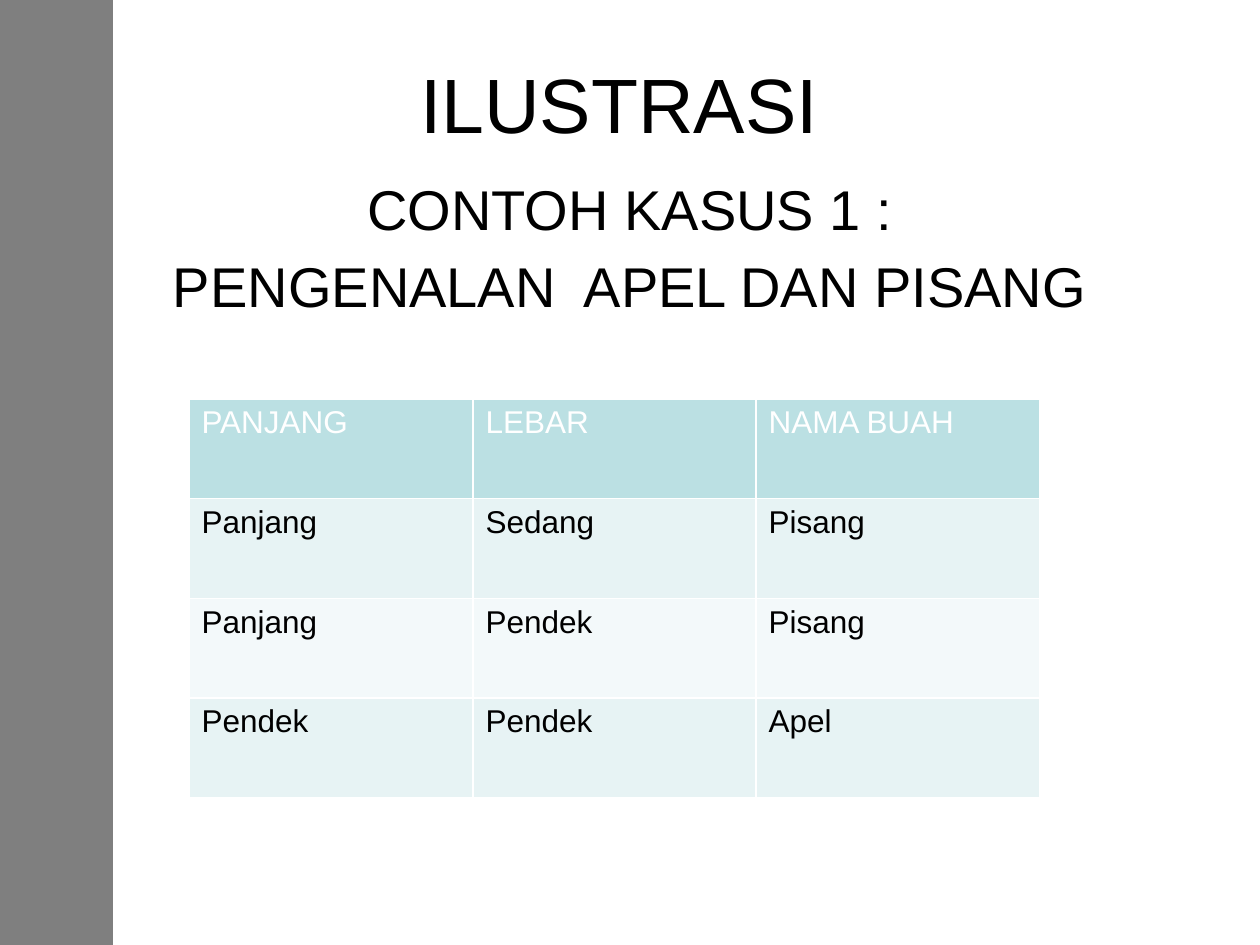
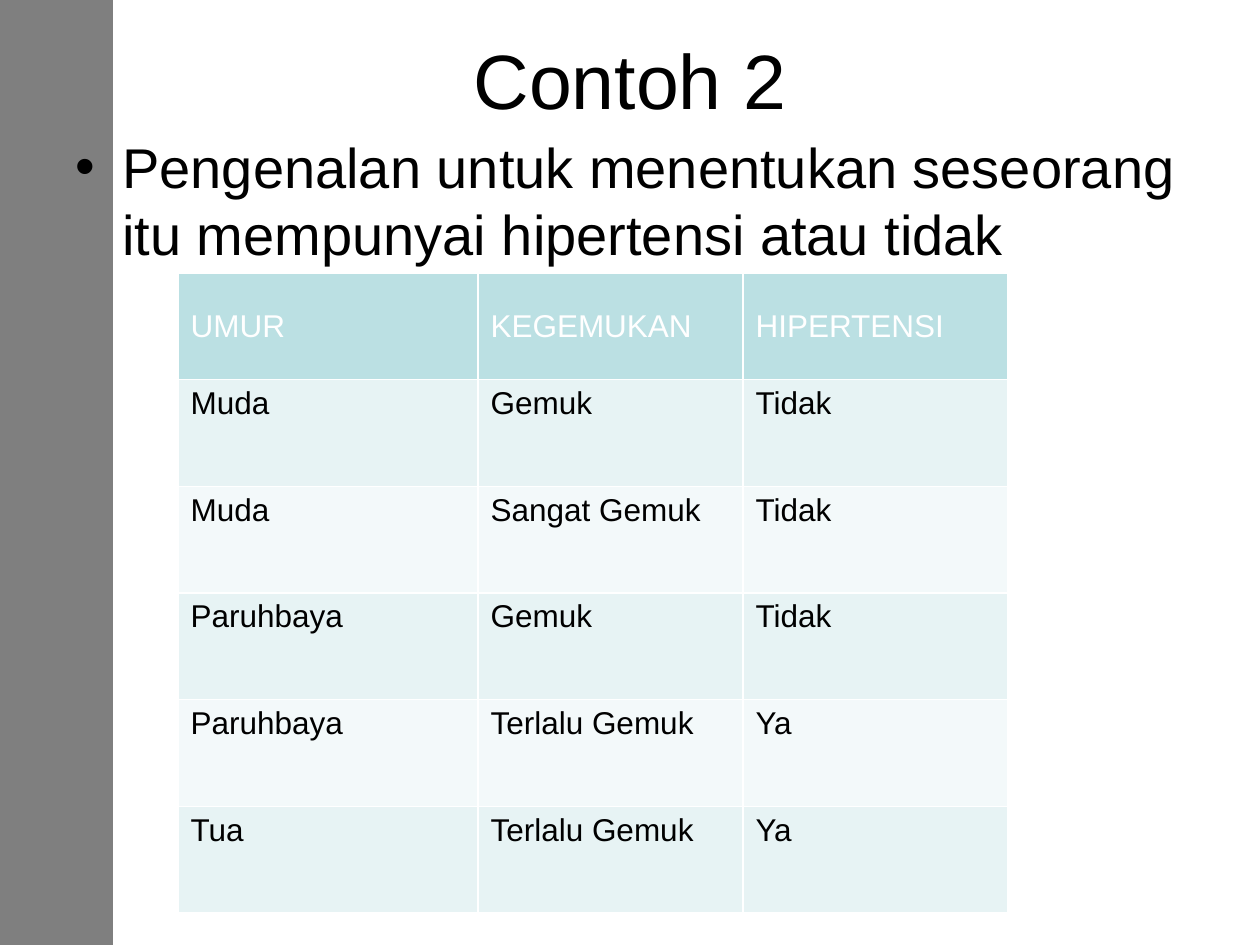
from pptx import Presentation
from pptx.dml.color import RGBColor
from pptx.enum.shapes import MSO_SHAPE
from pptx.enum.text import MSO_ANCHOR, PP_ALIGN
from pptx.oxml.ns import qn
from pptx.util import Pt
from lxml.etree import SubElement

SLIDE_W, SLIDE_H = 1260, 945


def emu(px):
    return round(px * 914400 / 126)


def color(value):
    return RGBColor.from_string(value)


def write(frame, *lines, size, ink="000000", align=PP_ALIGN.LEFT, anchor=MSO_ANCHOR.TOP,
          before=0, bullet=None, indent=0):
    frame.word_wrap = True
    frame.vertical_anchor = anchor
    for number, line in enumerate(lines):
        paragraph = frame.add_paragraph() if number else frame.paragraphs[0]
        if bullet:
            props = paragraph._p.get_or_add_pPr()
            props.set("marL", str(emu(indent)))
            props.set("indent", str(-emu(indent)))
            SubElement(props, qn("a:buFont"), typeface=Deck.FONT)
            SubElement(props, qn("a:buChar"), char=bullet)
        paragraph.alignment = align
        if number and before:
            paragraph.space_before = Pt(before)
        run = paragraph.add_run()
        run.text = line
        run.font.name = Deck.FONT
        run.font.size = Pt(size)
        run.font.color.rgb = color(ink)


class Deck:
    FONT = "Arial"
    HEADER = "BBE0E3"
    BANDS = ("E7F3F4", "F3F9FA")
    GRID = "FFFFFF"

    def __init__(self):
        self.deck = Presentation()
        self.deck.slide_width, self.deck.slide_height = emu(SLIDE_W), emu(SLIDE_H)
        self.slide = None

    def new_slide(self):
        self.slide = self.deck.slides.add_slide(self.deck.slide_layouts[6])
        self.sidebar()

    def sidebar(self):
        band = self.slide.shapes.add_shape(MSO_SHAPE.RECTANGLE, 0, 0, emu(113), emu(SLIDE_H))
        band.shadow.inherit = False
        band.line.fill.background()
        band.fill.solid()
        band.fill.fore_color.rgb = color("000000")
        tint = band._element.spPr.find(qn("a:solidFill")).find(qn("a:srgbClr"))
        SubElement(tint, qn("a:alpha"), val="50000")

    def text(self, top, height, *lines, **style):
        box = self.slide.shapes.add_textbox(emu(63), emu(top), emu(1134), emu(height))
        write(box.text_frame, *lines, **style)

    def title(self, top, height, wording):
        self.text(top, height, wording, size=44, align=PP_ALIGN.CENTER, anchor=MSO_ANCHOR.MIDDLE)

    def body(self, top, height, *lines, **style):
        self.text(top, height, *lines, size=32, before=6, **style)

    def borders(self, cell):
        props = cell._tc.get_or_add_tcPr()
        for place, side in enumerate("LRTB"):
            line = SubElement(props, qn(f"a:ln{side}"), w=str(Pt(1)))
            SubElement(SubElement(line, qn("a:solidFill")), qn("a:srgbClr"), val=self.GRID)
            props.insert(place, line)

    def table(self, left, top, widths, height, rows, header_anchor=MSO_ANCHOR.TOP):
        frame = self.slide.shapes.add_table(len(rows), len(widths), emu(left), emu(top),
                                            emu(sum(widths)), emu(height))
        grid = frame.table
        for column, width in zip(grid.columns, widths):
            column.width = emu(width)
        for r, row in enumerate(rows):
            grid.rows[r].height = emu(height / len(rows))
            header = r == 0
            for c, wording in enumerate(row):
                cell = grid.cell(r, c)
                cell.fill.solid()
                cell.fill.fore_color.rgb = color(self.HEADER if header else self.BANDS[(r - 1) % 2])
                self.borders(cell)
                write(cell.text_frame, wording, size=18, ink="FFFFFF" if header else "000000")
                cell.vertical_anchor = header_anchor if header else MSO_ANCHOR.TOP


FRUITS = [
    ("PANJANG", "LEBAR", "NAMA BUAH"),
    ("Panjang", "Sedang", "Pisang"),
    ("Panjang", "Pendek", "Pisang"),
    ("Pendek", "Pendek", "Apel"),
]
HYPERTENSION = [
    ("UMUR", "KEGEMUKAN", "HIPERTENSI"),
    ("Muda", "Gemuk", "Tidak"),
    ("Muda", "Sangat Gemuk", "Tidak"),
    ("Paruhbaya", "Gemuk", "Tidak"),
    ("Paruhbaya", "Terlalu Gemuk", "Ya"),
    ("Tua", "Terlalu Gemuk", "Ya"),
]


def main():
    deck = Deck()

    deck.new_slide()
    deck.title(38, 130, "ILUSTRASI ")
    deck.body(168, 677, "CONTOH KASUS 1 :", "PENGENALAN  APEL DAN PISANG", align=PP_ALIGN.CENTER)
    deck.table(189, 399, (284, 283, 284), 399, FRUITS)

    deck.new_slide()
    deck.title(21, 116, "Contoh 2")
    deck.body(126, 718, "Pengenalan untuk menentukan seseorang itu mempunyai hipertensi atau tidak",
              bullet="•", indent=47)
    deck.table(178, 273, (300, 265, 265), 640, HYPERTENSION, header_anchor=MSO_ANCHOR.MIDDLE)

    deck.deck.save("out.pptx")


if __name__ == "__main__":
    main()
